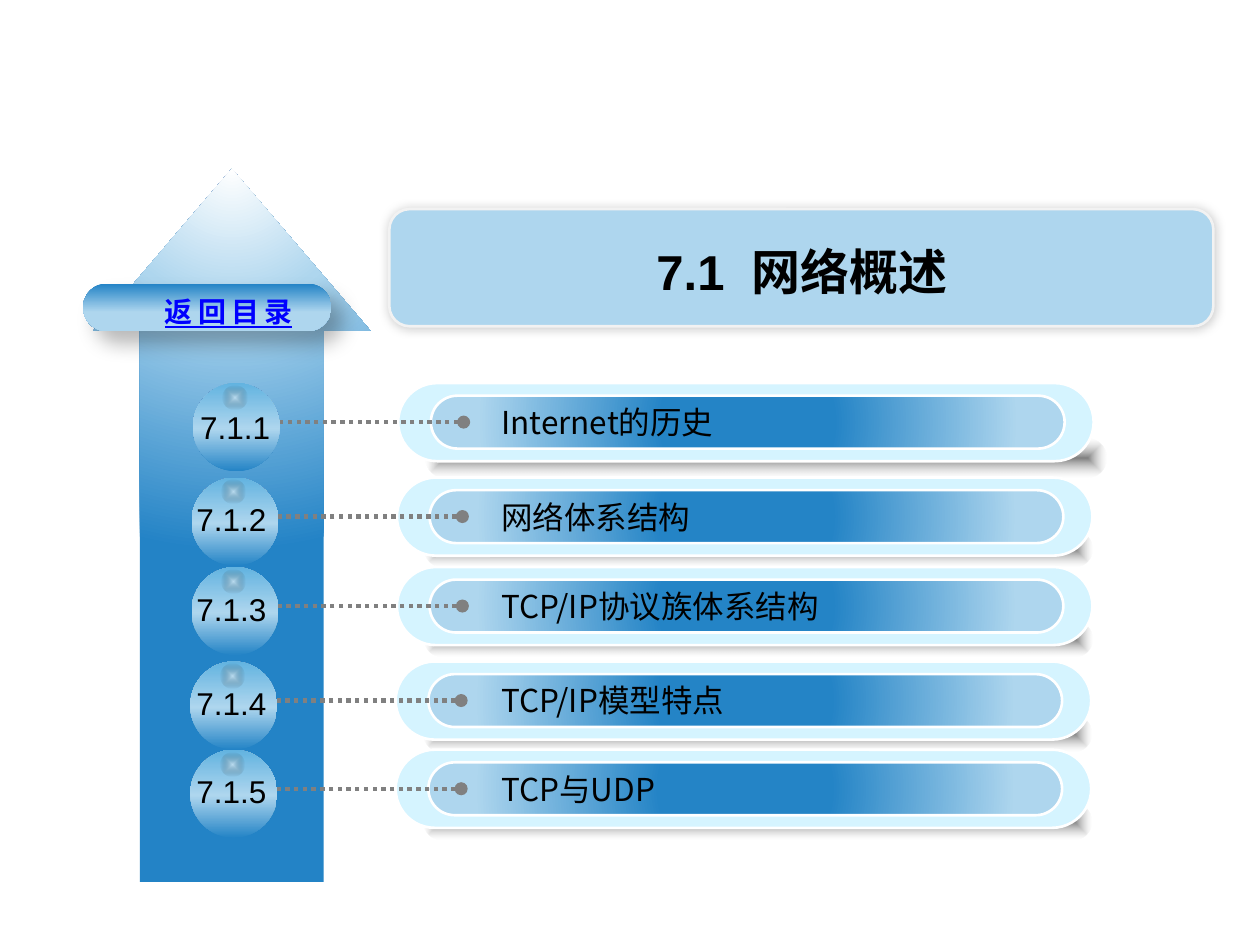
"""Build the section opener slide that lists the topics of chapter 7.1."""
from pptx import Presentation, oxml, util as u
from pptx.dml.color import RGBColor
from pptx.enum import dml, shapes, text
from pptx.oxml import ns

LATIN, CJK = "Arial", "Noto Sans CJK SC"
TITLE, BACK = "7.1  网络概述", "返回目录"
TOPICS = [
    ("7.1.1", "Internet的历史", 3.16, 3.04),
    ("7.1.2", "网络体系结构", 3.15, 3.79),
    ("7.1.3", "TCP/IP协议族体系结构", 3.15, 4.5),
    ("7.1.4", "TCP/IP模型特点", 3.14, 5.25),
    ("7.1.5", "TCP与UDP", 3.14, 5.95),
]
CENTRE = (50, 50, 50, 50)
ARROW = {"stops": [(0, "FFFFFF"), (35, "AED6EE"), (100, "2383C6")],
         "kind": "circle", "to": (50, -80, 50, 180)}
SHADE = {"stops": [(0, "000000", 50), (100, "B0B0B0", 0)], "kind": "shape", "to": CENTRE}
BAR = {"stops": [(27, "2484C6"), (85, "AED6EE")], "kind": "circle", "to": CENTRE}
BALL = {"stops": [(0, "2484C6"), (48, "AED6EE"), (100, "62B3E0")], "angle": 270}
GLINT = {"stops": [(0, "FFFFFF", 50), (100, "000000", 0)], "kind": "shape", "to": CENTRE}
PILL = {"stops": [(1, "2383C6"), (60, "AED6EE")], "angle": 90}


def rgb(value):
    return RGBColor.from_string(value)


def xml(tag, inner="", **attributes):
    listed = " ".join(f'{name}="{value}"' for name, value in attributes.items())
    return oxml.parse_xml(f'<a:{tag} {ns.nsdecls("a")} {listed}>{inner}</a:{tag}>')


def colour_xml(value, opacity=100):
    return f'<a:srgbClr val="{value}"><a:alpha val="{opacity * 1000}"/></a:srgbClr>'


def set_gradient(shape, stops, kind=None, to=None, angle=0):
    marks = "".join(f'<a:gs pos="{pos * 1000}">{colour_xml(*colour)}</a:gs>'
                    for pos, *colour in stops)
    if kind:
        sides = " ".join(f'{side}="{part * 1000}"' for side, part in zip("ltrb", to))
        course = f'<a:path path="{kind}"><a:fillToRect {sides}/></a:path>'
    else:
        course = f'<a:lin ang="{angle * 60000}" scaled="0"/>'
    shape.fill.background()
    properties = shape._element.spPr
    properties.replace(properties.find(ns.qn("a:noFill")),
                       xml("gradFill", f"<a:gsLst>{marks}</a:gsLst>{course}", rotWithShape=1))


def add_form(parent, preset, box, fill, adjust=(), line=None, shadow=None):
    form = parent.add_shape(preset, *map(u.Inches, box))
    for index, value in enumerate(adjust):
        form.adjustments[index] = value
    if isinstance(fill, dict):
        set_gradient(form, **fill)
    else:
        form.fill.solid()
        form.fill.fore_color.rgb = rgb(fill)
    if line:
        form.line.color.rgb = rgb(line)
        form.line.width = u.Pt(1.5)
    else:
        form.line.fill.background()
    form.shadow.inherit = False
    if shadow:
        value, opacity, blur, distance, angle = shadow
        form._element.spPr.find(ns.qn("a:effectLst")).append(xml(
            "outerShdw", colour_xml(value, opacity), blurRad=u.Pt(blur), dist=u.Pt(distance),
            dir=angle * 60000, algn="ctr", rotWithShape=0))


def write(holder, words, size=18, font=CJK, colour="000000", bold=False,
          underline=False, centred=False, wrap=True, spacing=0):
    frame = holder.text_frame
    frame.word_wrap = wrap
    frame.auto_size = text.MSO_AUTO_SIZE.SHAPE_TO_FIT_TEXT
    frame.vertical_anchor = text.MSO_ANCHOR.TOP
    paragraph = frame.paragraphs[0]
    paragraph.alignment = text.PP_ALIGN.CENTER if centred else text.PP_ALIGN.LEFT
    run = paragraph.add_run()
    run.text = words
    run.font.size = u.Pt(size)
    run.font.name = font
    run.font.bold = bold
    run.font.underline = underline
    run.font.color.rgb = rgb(colour)
    properties = run._r.get_or_add_rPr()
    properties.find(ns.qn("a:latin")).addnext(xml("ea", typeface=CJK))
    if spacing:
        properties.set("spc", str(spacing * 100))


def add_text(parent, box, words, **style):
    write(parent.add_textbox(*map(u.Inches, box)), words, **style)


def add_leader(parent, start, end, y):
    leader = parent.add_connector(shapes.MSO_CONNECTOR.STRAIGHT,
                                  *map(u.Inches, (start, y, end, y)))
    leader.line.color.rgb = rgb("808080")
    leader.line.width = u.Pt(2.5)
    leader.line.dash_style = dml.MSO_LINE.ROUND_DOT
    properties = leader._element.spPr
    properties.find(ns.qn("a:ln")).append(xml("headEnd", type="oval"))
    properties.append(xml("effectLst"))


def add_topic(slide, number, label, left, top, first):
    preset = shapes.MSO_SHAPE
    row = slide.shapes.add_group_shape().shapes
    shade = (left + 0.22, top + 0.44, 5.4, 0.31) if first else (left + 0.22, top + 0.43, 5.3, 0.28)
    add_form(row, preset.ROUNDED_RECTANGLE, shade, SHADE, [0.5])
    add_form(row, preset.ROUNDED_RECTANGLE, (left, top, 5.52, 0.62), "D5F4FF", [0.5], "FFFFFF")
    add_form(row, preset.ROUNDED_RECTANGLE, (left + 0.26, top + 0.1, 5.03, 0.42),
             BAR, [0.5], "FFFFFF")
    add_leader(row, left + 0.52, left - 1.12, top + 0.31)
    add_form(row, preset.OVAL, (left - 1.63, top, 0.69, 0.7), BALL)
    add_form(row, preset.OVAL, (left - 1.39, top + 0.02, 0.19, 0.19), GLINT)
    number_box = (1.49, top + 0.15, 0.87, 0.4) if first else (1.46, top + 0.13, 0.87, 0.4)
    add_text(slide.shapes, number_box, number, font=LATIN)
    add_text(slide.shapes, (3.88, top + 0.11, 4.62, 0.4), label)


def main():
    deck = Presentation()
    deck.slide_width, deck.slide_height = u.Inches(10), u.Inches(7.5)
    slide = deck.slides.add_slide(deck.slide_layouts[5])
    preset = shapes.MSO_SHAPE
    add_form(slide.shapes, preset.UP_ARROW, (0.74, 1.34, 2.2, 5.66), ARROW, [0.663, 0.584])
    add_form(slide.shapes, preset.ROUNDED_RECTANGLE, (3.09, 1.66, 6.54, 0.93), "AED6EE",
             [0.174], "F2F2F2", ("000000", 20, 6, 0, 225))

    title = slide.shapes.title
    title.left, title.top, title.width, title.height = map(u.Inches, (3.11, 1.87, 6.51, 0.57))
    write(title, TITLE, size=28, font=LATIN, bold=True, centred=True)
    slide.shapes._spTree.append(title._element)

    add_form(slide.shapes, preset.ROUNDED_RECTANGLE, (0.66, 2.25, 1.97, 0.38), PILL,
             [0.5], shadow=("000000", 28, 11.8, 10, 48))
    add_text(slide.shapes, (1.18, 2.29, 1.27, 0.37), BACK, size=16, colour="0000FF",
             bold=True, underline=True, centred=True, wrap=False, spacing=3)
    for index, topic in enumerate(TOPICS):
        add_topic(slide, *topic, first=index == 0)
    deck.save("out.pptx")


if __name__ == "__main__":
    main()
